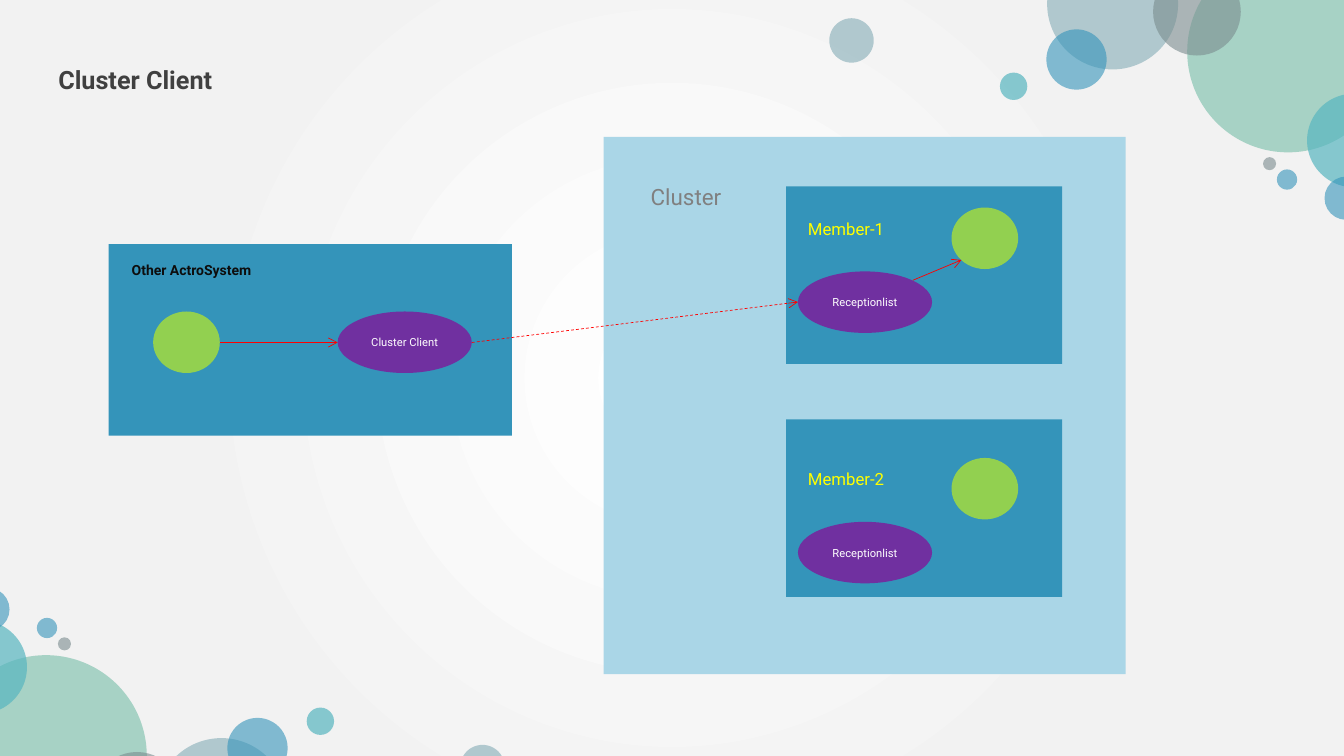
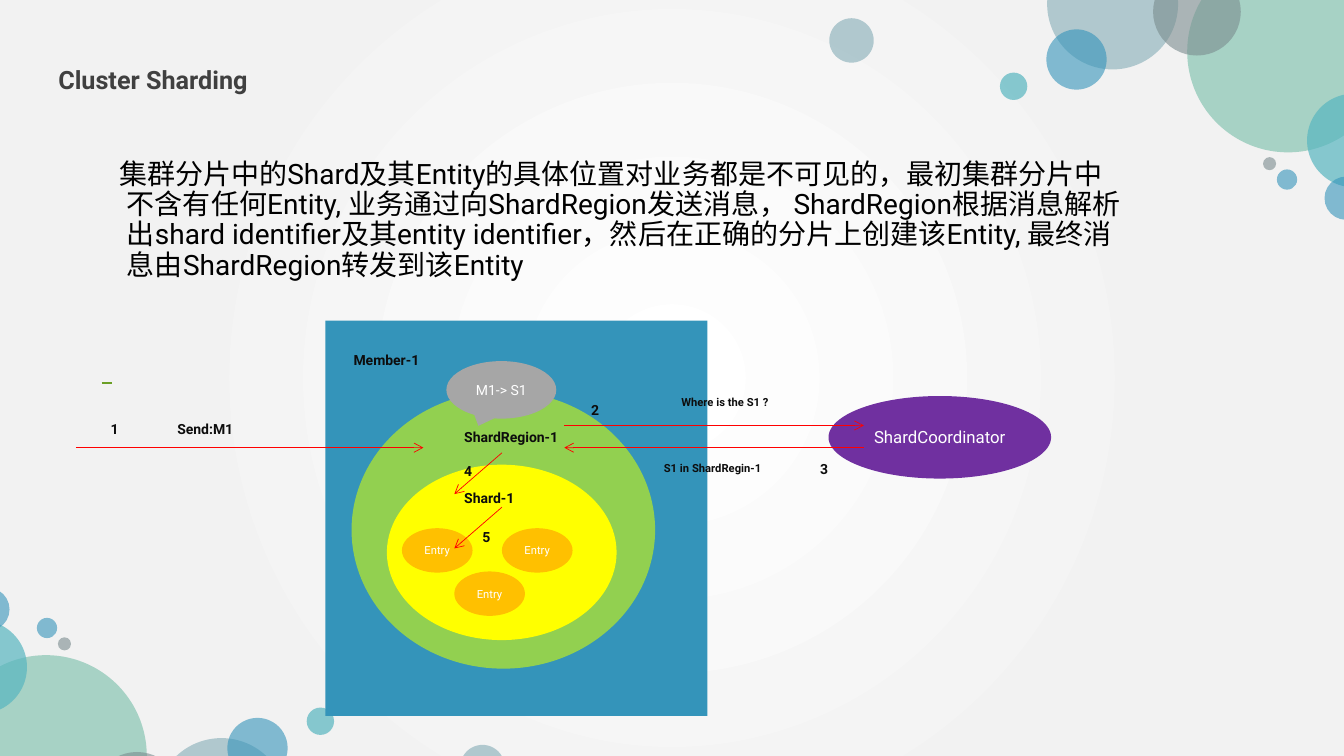
from lxml.etree import SubElement
from pptx import Presentation
from pptx.dml.color import RGBColor
from pptx.enum.dml import MSO_LINE as Dash
from pptx.enum.shapes import MSO_CONNECTOR as Connector, MSO_SHAPE as Shape
from pptx.enum.text import MSO_ANCHOR as Anchor, PP_ALIGN as Align
from pptx.oxml import parse_xml
from pptx.oxml.ns import nsdecls, qn
from pptx.util import Cm, Pt

FONT = "Roboto"
WIDTH, HEIGHT = 33.87, 19.05
BLUE, PALE_BLUE, TEAL, MINT = "3494BA", "AAD6E7", "58B6C0", "75BDA7"
STEEL, SLATE, GREY, DARK = "84ACB6", "7A8C8E", "A6A6A6", "404040"
GREEN, PURPLE, YELLOW, ORANGE = "92D050", "7030A0", "FFFF00", "FFC000"
RED, LEAF, WHITE, BLACK, INK = "FF0000", "6B9F25", "FFFFFF", "000000", "0D0D0D"
NODE_SIZE, ACTOR_SIZE, ENTRY_SIZE = (3.38, 1.55), (1.68, 1.55), (1.78, 1.12)
BUBBLES = [
    (26.39, -1.55, 3.3, STEEL, 60), (29.92, -1.24, 5.08, MINT, 60),
    (29.06, -0.81, 2.21, SLATE, 60), (26.37, 0.74, 1.52, BLUE, 60),
    (32.94, 2.36, 2.36, TEAL, 70), (25.2, 1.83, 0.69, TEAL, 70),
    (33.38, 4.45, 1.09, BLUE, 60), (32.18, 4.27, 0.51, BLUE, 60),
    (31.83, 3.96, 0.33, SLATE, 60), (20.9, 0.46, 1.12, STEEL, 60),
]
TURN_X, TURN_Y = 33.62, 20.35
SHARDING_TEXT = (
    "集群分片中的Shard及其Entity的具体位置对业务都是不可见的，最初集群分片中不含有任何Entity, "
    "业务通过向ShardRegion发送消息， ShardRegion根据消息解析出shard identifier及其"
    "entity identifier，然后在正确的分片上创建该Entity, 最终消息由ShardRegion转发到该Entity"
)


def paint(fill, color, alpha=None):
    """Fill with a solid hex colour, optionally with an opacity in percent."""
    fill.solid()
    fill.fore_color.rgb = RGBColor.from_string(color)
    if alpha is not None:
        for srgb in fill._xPr.iter(qn("a:srgbClr")):
            SubElement(srgb, qn("a:alpha")).set("val", str(alpha * 1000))


def style(paragraph, size, color, bold=False, spacing=1.0):
    """Set the font and line spacing of a paragraph."""
    paragraph.line_spacing = spacing
    font = paragraph.font
    font.name, font.size, font.bold = FONT, Pt(size), bold
    paint(font.fill, color)


def add_block(slide, kind, left, top, size, color, text="", points=8, alpha=None):
    """Draw a flat shape with optional centred white text."""
    block = slide.shapes.add_shape(kind, Cm(left), Cm(top), *map(Cm, size))
    block.shadow.inherit = False
    paint(block.fill, color, alpha)
    block.line.fill.background()
    if text:
        frame = block.text_frame
        frame.margin_left = frame.margin_right = 0
        frame.word_wrap, frame.vertical_anchor = True, Anchor.MIDDLE
        frame.text = text
        frame.paragraphs[0].alignment = Align.CENTER
        style(frame.paragraphs[0], points, WHITE)


def add_label(slide, text, left, top, width, points=10, color=INK, bold=True,
              height=0.8, spacing=1.3):
    """Write one wrapped paragraph and return it."""
    label = slide.shapes.add_textbox(Cm(left), Cm(top), Cm(width), Cm(height))
    label.text_frame.word_wrap = True
    label.text_frame.text = text
    paragraph = label.text_frame.paragraphs[0]
    style(paragraph, points, color, bold, spacing)
    return paragraph


def add_line(slide, start, end, color=RED, weight=0.5, arrow=True, dashed=False):
    """Draw a straight line between two points, by default a red arrow."""
    line = slide.shapes.add_connector(Connector.STRAIGHT, *map(Cm, (*start, *end)))
    paint(line.line.fill, color)
    line.line.width = Pt(weight)
    if dashed:
        line.line.dash_style = Dash.DASH
    if arrow:
        SubElement(line.line._get_or_add_ln(), qn("a:tailEnd")).set("type", "arrow")
    SubElement(line._element.spPr, qn("a:effectLst"))


def set_background(master):
    """Give the master a circular gradient from white to light grey."""
    master.background.fill.solid()
    properties = master.background._cSld.bg.bgPr
    stops = "".join(
        f'<a:gs pos="{place * 1000}"><a:srgbClr val="{color}"/></a:gs>'
        for place, color in ((0, WHITE), (67, "F2F2F2"), (100, "F2F2F2")))
    gradient = parse_xml(
        f'<a:gradFill {nsdecls("a")} rotWithShape="1"><a:gsLst>{stops}</a:gsLst>'
        '<a:path path="circle"><a:fillToRect l="50000" t="50000" r="50000" b="50000"/>'
        '</a:path></a:gradFill>')
    properties.replace(properties.find(qn("a:solidFill")), gradient)


def add_page(prs, title):
    """Add a slide with the bubbles in two corners and its title."""
    slide = prs.slides.add_slide(prs.slide_layouts[6])
    for turned in (False, True):
        for left, top, side, color, alpha in BUBBLES:
            if turned:
                left, top = TURN_X - left - side, TURN_Y - top - side
            add_block(slide, Shape.OVAL, left, top, (side, side), color, alpha=alpha)
    add_label(slide, title, 1.22, 1.27, 9.45, 18, DARK, height=1.12)
    return slide


def add_cluster_member(slide, left, top, name, drop):
    """Draw a member with its actor and receptionist, set down by drop."""
    add_block(slide, Shape.RECTANGLE, left, top, (6.96, 4.47), BLUE)
    add_block(slide, Shape.OVAL, left + 4.17, top + drop, ACTOR_SIZE, GREEN)
    add_block(slide, Shape.OVAL, left + 0.3, top + drop + 1.61, NODE_SIZE, PURPLE,
              "Receptionlist")
    add_label(slide, name, left + 0.3, top + drop, 2.64, 12, YELLOW, False)


def add_cluster(slide, left, top):
    """Draw the cluster with its two members."""
    add_block(slide, Shape.RECTANGLE, left, top, (13.16, 13.54), PALE_BLUE)
    add_label(slide, "Cluster", left + 0.94, top + 0.84, 2.64, 16, "808080", False)
    add_cluster_member(slide, left + 4.6, top + 1.25, "Member-1", 0.53)
    add_cluster_member(slide, left + 4.6, top + 7.12, "Member-2", 0.97)
    add_line(slide, (left + 7.8, top + 3.61), (left + 9.02, top + 3.1))


def add_other_system(slide, left, top):
    """Draw the outside actor system with its cluster client."""
    add_block(slide, Shape.RECTANGLE, left, top, (10.16, 4.83), BLUE)
    add_label(slide, "Other ActroSystem", left + 0.33, top + 0.18, 4.17)
    add_block(slide, Shape.OVAL, left + 1.12, top + 1.7, ACTOR_SIZE, GREEN)
    add_block(slide, Shape.OVAL, left + 5.77, top + 1.7, NODE_SIZE, PURPLE,
              "Cluster Client")
    add_line(slide, (left + 2.8, top + 2.48), (left + 5.77, top + 2.48))


def add_shard_member(slide, left, top):
    """Draw the member that nests region, shard and entries."""
    add_block(slide, Shape.RECTANGLE, left, top, (9.63, 9.96), BLUE)
    add_block(slide, Shape.OVAL, left + 0.66, top + 1.78, (7.65, 6.99), GREEN)
    add_block(slide, Shape.OVAL, left + 1.55, top + 3.63, (5.79, 4.42), YELLOW)
    for x, y in ((1.93, 5.23), (4.45, 5.23), (3.25, 6.32)):
        add_block(slide, Shape.OVAL, left + x, top + y, ENTRY_SIZE, ORANGE, "Entry")
    for text, x, y, width in (
            ("Member-1", 0.46, 0.53, 2.77), ("ShardRegion-1", 3.25, 2.46, 3.23),
            ("Shard-1", 3.25, 3.99, 2.08), ("2", 6.45, 1.78, 0.9),
            ("4", 3.25, 3.33, 0.9), ("5", 3.71, 4.98, 0.9)):
        add_label(slide, text, left + x, top + y, width)
    add_block(slide, Shape.OVAL_CALLOUT, left + 3.05, top + 1.02, (2.77, 1.45), GREY,
              "M1-> S1", 10)
    for y in (3.33, 4.7):
        add_line(slide, (left + 4.45, top + y), (left + 3.25, top + y + 1.04))


def add_messages(slide, left, top):
    """Draw the numbered messages to and from the shard region."""
    for text, x, y, width, points in (
            ("1", 0.63, 0, 1.68, 10), ("Send:M1", 2.31, 0, 2.31, 10),
            ("Where is the S1 ?", 15.01, -0.61, 3.4, 8),
            ("S1 in ShardRegin-1", 14.57, 1.06, 3.4, 8), ("3", 18.51, 1.01, 0.9, 10)):
        add_label(slide, text, left + x, top + y, width, points)
    for start, end, y in ((0, 8.76, 0.94), (12.31, 19.86, 0.38), (19.86, 12.31, 0.94)):
        add_line(slide, (left + start, top + y), (left + end, top + y))


def build_client_slide(prs):
    """Build the slide on the cluster client."""
    slide = add_page(prs, "Cluster Client")
    add_cluster(slide, 15.21, 3.45)
    add_other_system(slide, 2.74, 6.15)
    add_line(slide, (11.89, 8.63), (20.11, 7.61), dashed=True)


def build_sharding_slide(prs):
    """Build the slide on cluster sharding."""
    slide = add_page(prs, "Cluster Sharding")
    summary = add_label(slide, SHARDING_TEXT, 2.31, 3.91, 26.26, 20, BLACK, False,
                        3.23, 0.9)
    indents = summary._p.get_or_add_pPr()
    indents.set("marL", str(Cm(0.64)))
    indents.set("indent", str(Cm(-0.2)))
    add_line(slide, (2.57, 9.64), (2.82, 9.64), LEAF, 1.5, arrow=False)
    add_shard_member(slide, 8.2, 8.08)
    add_block(slide, Shape.OVAL, 20.88, 9.98, (5.61, 2.08), PURPLE,
              "ShardCoordinator", 12)
    add_messages(slide, 1.91, 10.34)


def main():
    """Build and save the presentation."""
    prs = Presentation()
    prs.slide_width, prs.slide_height = Cm(WIDTH), Cm(HEIGHT)
    set_background(prs.slide_master)
    build_client_slide(prs)
    build_sharding_slide(prs)
    prs.save("out.pptx")


if __name__ == "__main__":
    main()
